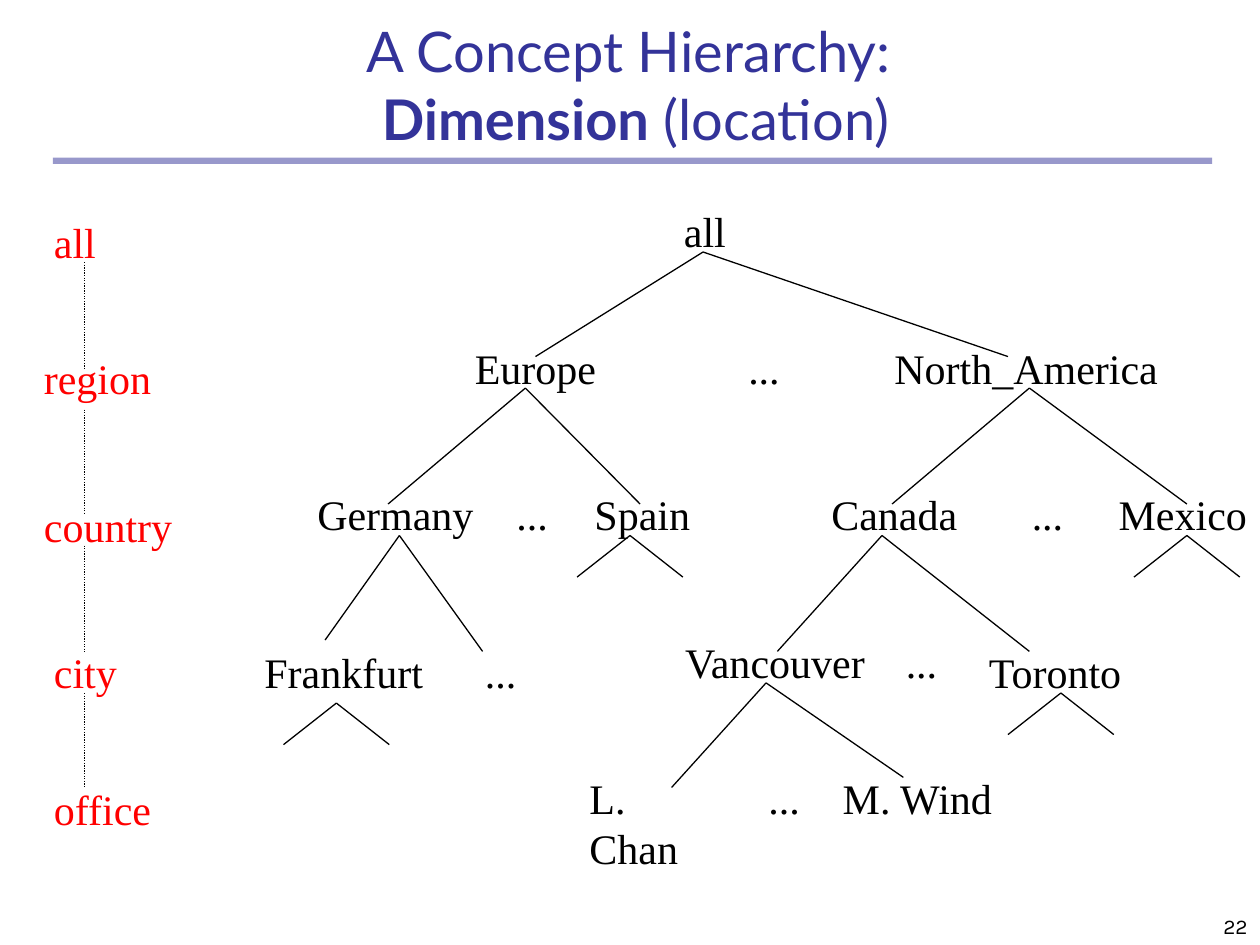
from lxml import etree
from pptx import Presentation
from pptx.dml.color import RGBColor
from pptx.enum.dml import MSO_LINE
from pptx.enum.shapes import MSO_CONNECTOR, MSO_SHAPE
from pptx.enum.text import MSO_ANCHOR, MSO_AUTO_SIZE, PP_ALIGN
from pptx.oxml.ns import qn
from pptx.util import Inches, Pt

STRAIGHT = MSO_CONNECTOR.STRAIGHT
RECTANGLE = MSO_SHAPE.RECTANGLE
DOTTED = MSO_LINE.ROUND_DOT
BOTTOM = MSO_ANCHOR.BOTTOM
TOP = MSO_ANCHOR.TOP
FIT_SHAPE = MSO_AUTO_SIZE.SHAPE_TO_FIT_TEXT
LEFT, CENTER, RIGHT = PP_ALIGN.LEFT, PP_ALIGN.CENTER, PP_ALIGN.RIGHT

BLACK, RED, NAVY = "000000", "FF0000", "333399"
TITLE_FONT = {"name": "Lato", "size": Pt(32)}
LABEL_FONT = {"name": "Times New Roman", "size": Pt(24)}
NUMBER_FONT = {"name": "Karla", "size": Pt(12)}
LABEL_FRAME = {"word_wrap": False, "auto_size": FIT_SHAPE, "vertical_anchor": TOP}
BOTTOM_FRAME = {"word_wrap": True, "vertical_anchor": BOTTOM}
LABEL_HEIGHT = 0.5
DOTS_WIDTH = 0.45
STUB_REACH, STUB_DROP = 0.42, 0.33

TREE_ROWS = [
    (0, [("all", 3.33, 0.53)]),
    (1.09, [("Europe", 1.67, 1.16), ("...", 3.84, DOTS_WIDTH),
            ("North_America", 5, 2.29)]),
    (2.25, [("Germany", 0.42, 1.44), ("...", 2, DOTS_WIDTH),
            ("Spain", 2.62, 0.96), ("Canada", 4.5, 1.2),
            ("...", 6.09, DOTS_WIDTH), ("Mexico", 6.78, 1.22)]),
    (3.42, [("Vancouver", 3.34, 1.66), ("...", 5.09, DOTS_WIDTH)]),
    (3.5, [("Frankfurt", 0, 1.46), ("...", 1.75, DOTS_WIDTH),
           ("Toronto", 5.75, 1.27)]),
    (4.5, [("L. Chan", 2.58, 1.27), ("...", 4, DOTS_WIDTH),
           ("M. Wind", 4.59, 1.4)]),
]
BRANCHES = [
    ((3.58, 0.42), (2.25, 1.25), (6, 1.25)),
    ((2.17, 1.5), (1.08, 2.42), (3.08, 2.42)),
    ((6.17, 1.5), (5.08, 2.42), (7.42, 2.42)),
    ((1.17, 2.67), (0.58, 3.5), (1.83, 3.59)),
    ((5, 2.67), (4.17, 3.59), (6.17, 3.59)),
    ((4.08, 3.84), (3.33, 4.67), (5.17, 4.59)),
]
STUBS = [(3, 2.67), (7.42, 2.67), (0.67, 4), (6.42, 3.92)]
LEVELS = [
    ("all", 0.08, 0, 0.53),
    ("region", 0, 1.08, 1.05),
    ("country", 0, 2.25, 1.22),
    ("city", 0.08, 3.41, 0.7),
    ("office", 0.08, 4.5, 0.97),
]
LEVEL_LINE_X = 0.42
LEVEL_LINES = [(0.41, 1.25), (1.58, 2.41), (2.66, 3.5), (3.83, 4.58)]


def color(value):
    return RGBColor.from_string(value)


def apply(target, values):
    for name, value in values.items():
        setattr(target, name, value)


def add_span(para, text, font, ink, bold=False):
    span = para.add_run()
    span.text = text
    apply(span.font, {**font, "bold": bold})
    span.font.color.rgb = color(ink)


def add_text_box(page, box, frame_format, align):
    frame = page.shapes.add_textbox(*map(Inches, box)).text_frame
    apply(frame, frame_format)
    para = frame.paragraphs[0]
    para.alignment = align
    return para


def add_label(page, text, left, top, width, ink):
    box = (left, top, width, LABEL_HEIGHT)
    para = add_text_box(page, box, LABEL_FRAME, LEFT)
    add_span(para, text, LABEL_FONT, ink)


def add_line(page, start, end, dash=None):
    line = page.shapes.add_connector(STRAIGHT, *map(Inches, (*start, *end)))
    line.line.color.rgb = color(BLACK)
    apply(line.line, {"width": Pt(0.75), "dash_style": dash})
    etree.SubElement(line._element.spPr, qn("a:effectLst"))


def add_title(page, box):
    para = add_text_box(page, box, BOTTOM_FRAME, CENTER)
    add_span(para, "A Concept Hierarchy: ", TITLE_FONT, NAVY)
    para.add_line_break()
    add_span(para, "Dimension", TITLE_FONT, NAVY, bold=True)
    add_span(para, " (location)", TITLE_FONT, NAVY)


def add_rule(page, box):
    rule = page.shapes.add_shape(RECTANGLE, *map(Inches, box))
    rule.shadow.inherit = False
    rule.line.fill.background()
    rule.fill.solid()
    rule.fill.fore_color.rgb = color(NAVY)
    tint = rule._element.spPr.find(qn("a:solidFill"))[0]
    etree.SubElement(tint, qn("a:alpha"), val="50000")


def add_page_number(page, box):
    para = add_text_box(page, box, BOTTOM_FRAME, RIGHT)
    add_span(para, "22", NUMBER_FONT, BLACK)


def add_tree(page, left, top):
    for row_top, labels in TREE_ROWS:
        for text, x, width in labels:
            add_label(page, text, left + x, top + row_top, width, BLACK)
    stubs = [((x, y), (x - STUB_REACH, y + STUB_DROP), (x + STUB_REACH, y + STUB_DROP))
             for x, y in STUBS]
    for apex, *ends in BRANCHES + stubs:
        start = (left + apex[0], top + apex[1])
        for x, y in ends:
            add_line(page, start, (left + x, top + y))


def add_levels(page, left, top):
    for text, x, y, width in LEVELS:
        add_label(page, text, left + x, top + y, width, RED)
    line_x = left + LEVEL_LINE_X
    for start, end in LEVEL_LINES:
        add_line(page, (line_x, top + start), (line_x, top + end), DOTTED)


def main():
    deck = Presentation()
    apply(deck, {"slide_width": Inches(10), "slide_height": Inches(7.5)})
    page = deck.slides.add_slide(deck.slide_layouts[6])
    add_rule(page, (0.42, 1.25, 9.2, 0.05))
    add_page_number(page, (7.92, 7, 2.08, 0.5))
    add_title(page, (0.67, 0.58, 8.75, 0.67))
    add_tree(page, 2, 1.58)
    add_levels(page, 0.25, 1.67)
    deck.save("out.pptx")


if __name__ == "__main__":
    main()
